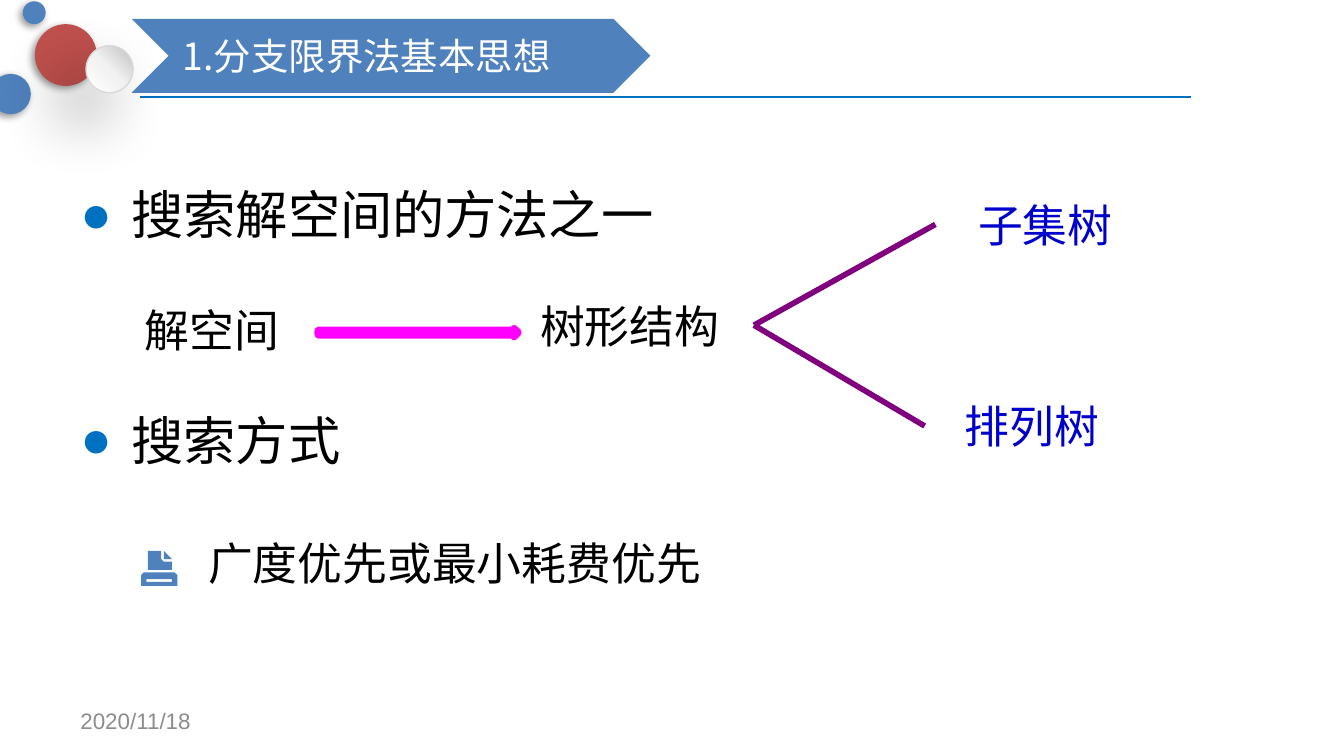
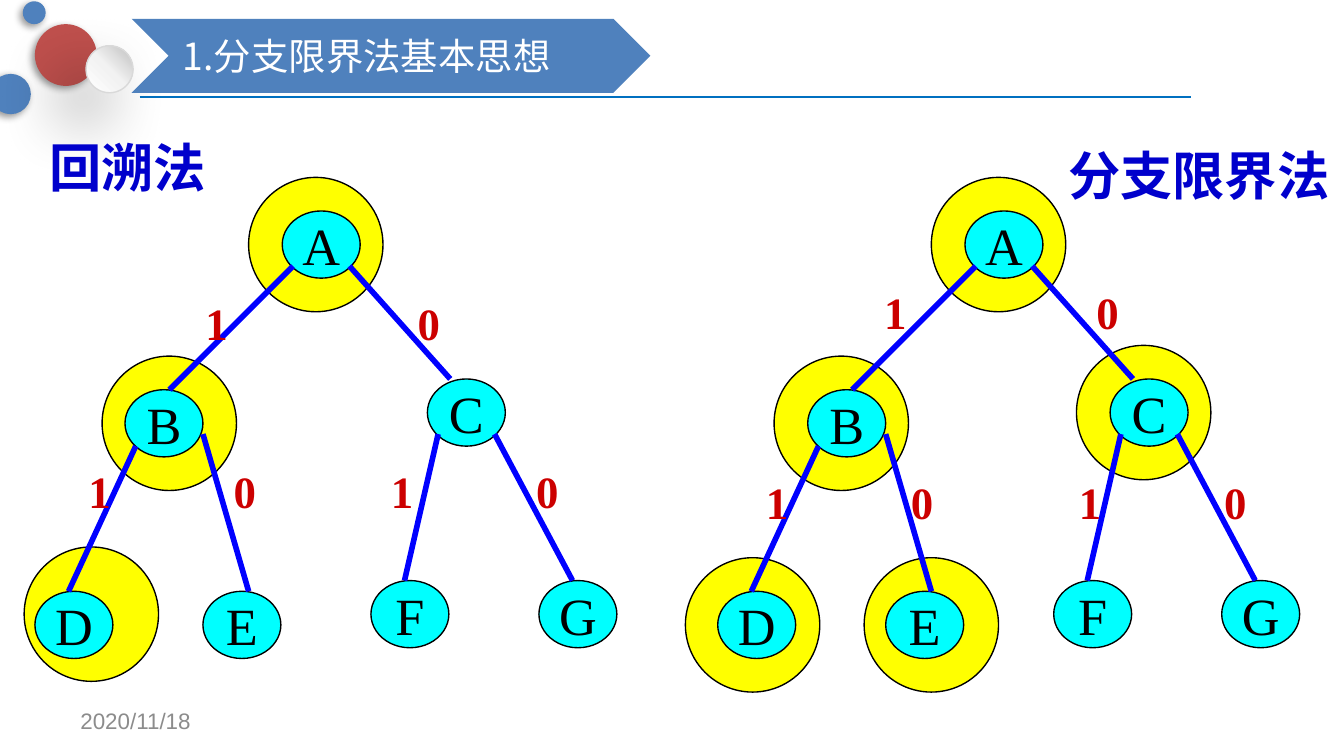
"""Build two slides that introduce the branch-and-bound method."""
from lxml import etree
from pptx import Presentation
from pptx import util as u
from pptx.dml import color
from pptx.enum import shapes, text
from pptx.oxml import ns

CJK, ROMAN, SANS = "Noto Sans CJK SC", "Times New Roman", "Arial"
BLUE, RED, RULE, BLACK = "4F81BD", "C0504D", "0070C0", "000000"
NAVY, EDGE, PURPLE, MAGENTA = "0000CC", "0000FF", "800080", "FF00FF"
HALO, NODE, BIT, GREY = "FFFF00", "00FFFF", "CC0000", "8C8C8C"


def rgb(value):
    return color.RGBColor.from_string(value)


def child(parent, tag, **attributes):
    return etree.SubElement(parent, ns.qn(tag), **attributes)


class Deck:
    def __init__(self):
        self.show = Presentation()
        self.show.slide_width = u.Inches(10)
        self.show.slide_height = u.Inches(10) * 9 // 16
        self.slide = None

    def start(self, heading):
        self.slide = self.show.slides.add_slide(self.show.slide_layouts[5])
        self.line((1.04, 0.72), (8.86, 0.72), RULE, 1.25)
        self.bubble(0.26, 0.18, 0.46, RED)
        self.bubble(-0.07, 0.55, 0.3, BLUE)
        pearl = self.bubble(0.64, 0.34, 0.35, "FFFFFF", ("D9D9D9", 0.75), 35, 20)
        self.gradient(pearl, ((0, "FFFFFF"), (50, "F2F2F2"), (100, "BFBFBF")), 45)
        self.bubble(0.17, 0.01, 0.17, BLUE)
        self.label("2020/11/18", 0.5, 5.21, 2.33, 0.3, 12, GREY, SANS, wrap=True,
                   anchor=text.MSO_ANCHOR.MIDDLE)
        self.shape(shapes.MSO_SHAPE.CHEVRON, 0.98, 0.14, 3.86, 0.55, BLUE)
        self.title(heading)

    def title(self, heading):
        title = self.slide.shapes.title
        title.left, title.top = u.Inches(1.26), u.Inches(0.14)
        title.width, title.height = u.Inches(3.3), u.Inches(0.55)
        title.text_frame.text = heading
        title.text_frame.auto_size = text.MSO_AUTO_SIZE.NONE
        title.text_frame.word_wrap = True
        title.text_frame.vertical_anchor = text.MSO_ANCHOR.MIDDLE
        self.style(title, 20, "FFFFFF", CJK)
        self.slide.shapes._spTree.append(title._element)

    def paint(self, shape, fill, outline=None):
        shape.fill.solid()
        shape.fill.fore_color.rgb = rgb(fill)
        if outline:
            shape.line.color.rgb = rgb(outline[0])
            shape.line.width = u.Pt(outline[1])
        else:
            shape.line.fill.background()

    def gradient(self, shape, stops, angle):
        shape.fill.gradient()
        shape.fill.gradient_angle = angle
        stop_list = shape._element.spPr.find(".//" + ns.qn("a:gsLst"))
        stop_list.clear()
        for position, tint in stops:
            stop = child(stop_list, "a:gs", pos=str(position * 1000))
            child(stop, "a:srgbClr", val=tint)

    def style(self, shape, size, tint, font, bold=False,
              align=text.PP_ALIGN.LEFT):
        for paragraph in shape.text_frame.paragraphs:
            paragraph.alignment = align
            for run in paragraph.runs:
                run.font.size = u.Pt(size)
                run.font.bold = bold
                run.font.color.rgb = rgb(tint)
                run.font.name = font
                child(run._r.get_or_add_rPr(), "a:ea", typeface=font)

    def shape(self, kind, left, top, width, height, fill, outline=None):
        shape = self.slide.shapes.add_shape(
            kind, u.Inches(left), u.Inches(top), u.Inches(width), u.Inches(height))
        shape.shadow.inherit = False
        self.paint(shape, fill, outline)
        return shape

    def oval(self, left, top, width, height, fill, outline=(BLACK, 0.75)):
        return self.shape(shapes.MSO_SHAPE.OVAL, left, top, width, height, fill, outline)

    def bubble(self, left, top, size, fill, outline=None, blur=4, distance=2):
        bubble = self.oval(left, top, size, size, fill, outline)
        effects = bubble._element.spPr.find(ns.qn("a:effectLst"))
        shadow = child(effects, "a:outerShdw", blurRad=str(u.Pt(blur)),
                       dist=str(u.Pt(distance)), dir=str(135 * 60000),
                       algn="ctr", rotWithShape="0")
        child(child(shadow, "a:srgbClr", val=BLACK), "a:alpha", val="40000")
        return bubble

    def line(self, start, end, tint, width):
        line = self.slide.shapes.add_connector(
            shapes.MSO_CONNECTOR.STRAIGHT, *(u.Inches(v) for v in (*start, *end)))
        line.line.color.rgb = rgb(tint)
        line.line.width = u.Pt(width)
        child(line._element.spPr, "a:effectLst")

    def label(self, words, left, top, width, height, size, tint, font=CJK,
              bold=False, wrap=False, grow=False, anchor=text.MSO_ANCHOR.TOP):
        label = self.slide.shapes.add_textbox(
            u.Inches(left), u.Inches(top), u.Inches(width), u.Inches(height))
        frame = label.text_frame
        frame.text = words
        frame.word_wrap = wrap
        frame.vertical_anchor = anchor
        if grow:
            frame.auto_size = text.MSO_AUTO_SIZE.SHAPE_TO_FIT_TEXT
        self.style(label, size, tint, font, bold)
        return label

    def bullet(self, words, left, top, width, height):
        point = self.label(words, left, top, width, height, 28, BLACK, wrap=True)
        properties = point.text_frame.paragraphs[0]._p.get_or_add_pPr()
        indent = u.Inches(0.38)
        properties.set("marL", str(indent))
        properties.set("indent", str(-indent))
        child(child(properties, "a:buClr"), "a:srgbClr", val=RULE)
        child(properties, "a:buFont", typeface=SANS)
        child(properties, "a:buChar", char="●")

    def outline(self, contours, fill):
        first, *others = contours
        builder = self.slide.shapes.build_freeform(*first[0], scale=u.Inches(0.01))
        builder.add_line_segments(first[1:], close=True)
        for contour in others:
            builder.move_to(*contour[0])
            builder.add_line_segments(contour[1:], close=True)
        shape = builder.convert_to_shape()
        shape.shadow.inherit = False
        self.paint(shape, fill)

    def tree(self, shift, halos, bits):
        for left, top in halos:
            self.oval(left, top, 1, 1, HALO)
        for name, (left, top) in NODES.items():
            node = self.oval(left + shift, top, 0.58, 0.5, NODE)
            node.text_frame.text = name
            node.text_frame.word_wrap = False
            node.text_frame.vertical_anchor = text.MSO_ANCHOR.MIDDLE
            self.style(node, 28, BLACK, ROMAN, align=text.PP_ALIGN.CENTER)
        for (x1, y1), (x2, y2) in EDGES:
            self.line((x1 + shift, y1), (x2 + shift, y2), EDGE, 3)
        for left, top, gap in bits:
            for bit, x in (("1", left), ("0", left + gap)):
                self.label(bit, x, top, 0.37, 0.5, 24, BIT, ROMAN, bold=True, grow=True)


HEADING = "1.分支限界法基本思想"
PRINTER = (
    ((105, 428), (107, 426), (130, 426), (132, 428), (132, 436), (105, 436)),
    ((109, 431), (109, 433), (128, 433), (128, 431)),
    ((110, 410), (120, 410), (120, 416), (122, 418), (128, 418), (128, 424), (110, 424)),
    ((122, 410), (128, 416), (122, 416)),
)
NODES = {"A": (2.1, 1.57), "B": (0.93, 2.9), "C": (3.18, 2.82), "D": (0.26, 4.4),
         "E": (1.51, 4.4), "F": (2.76, 4.32), "G": (4.01, 4.32)}
EDGES = (
    ((2.18, 1.98), (1.26, 2.9)), ((2.6, 1.98), (3.35, 2.82)),
    ((1.01, 3.32), (0.51, 4.4)), ((1.51, 3.23), (1.85, 4.4)),
    ((3.26, 3.23), (3.01, 4.32)), ((3.68, 3.23), (4.26, 4.32)),
)


def search_methods(deck):
    deck.start(HEADING)
    deck.bullet("搜索解空间的方法之一", 0.5, 1.31, 9, 1.97)
    deck.label("树形结构", 3.92, 2.17, 1.6, 0.5, 24, BLACK, wrap=True, grow=True)
    for branch_end in ((6.96, 1.67), (6.88, 3.17)):
        deck.line((5.61, 2.42), branch_end, PURPLE, 3)
    deck.label("解空间", 0.98, 2.2, 1.31, 0.5, 24, BLACK, wrap=True, grow=True)
    deck.shape(shapes.MSO_SHAPE.RIGHT_ARROW, 2.37, 2.45, 1.48, 0.05, BLUE, (MAGENTA, 4.5))
    deck.bullet("搜索方式", 0.5, 2.99, 2.15, 0.57)
    deck.label("广度优先或最小耗费优先", 1.45, 3.94, 4.24, 0.5, 24, BLACK, wrap=True, grow=True)
    deck.outline(PRINTER, BLUE)
    deck.label("子集树", 7.18, 1.42, 1.21, 0.5, 24, NAVY, grow=True)
    deck.label("排列树", 7.08, 2.92, 1.31, 0.5, 24, NAVY, grow=True)


def search_trees(deck):
    deck.start(HEADING)
    deck.tree(0, ((0.18, 4.07), (0.76, 2.65), (1.85, 1.32)),
              ((1.43, 2.15, 1.58), (0.56, 3.4, 1.08), (2.81, 3.4, 1.08)))
    deck.tree(5.08, ((5.1, 4.15), (6.43, 4.15), (5.76, 2.65), (8.01, 2.57), (6.93, 1.32)),
              ((6.48, 2.07, 1.58), (5.6, 3.48, 1.08), (7.93, 3.48, 1.08)))
    deck.label("回溯法", 0.27, 0.96, 1.37, 0.57, 28, NAVY, bold=True, grow=True)
    deck.label("分支限界法", 7.85, 1.02, 2.15, 0.57, 28, NAVY, bold=True, grow=True)


def main():
    deck = Deck()
    search_methods(deck)
    search_trees(deck)
    deck.show.save("out.pptx")


if __name__ == "__main__":
    main()
